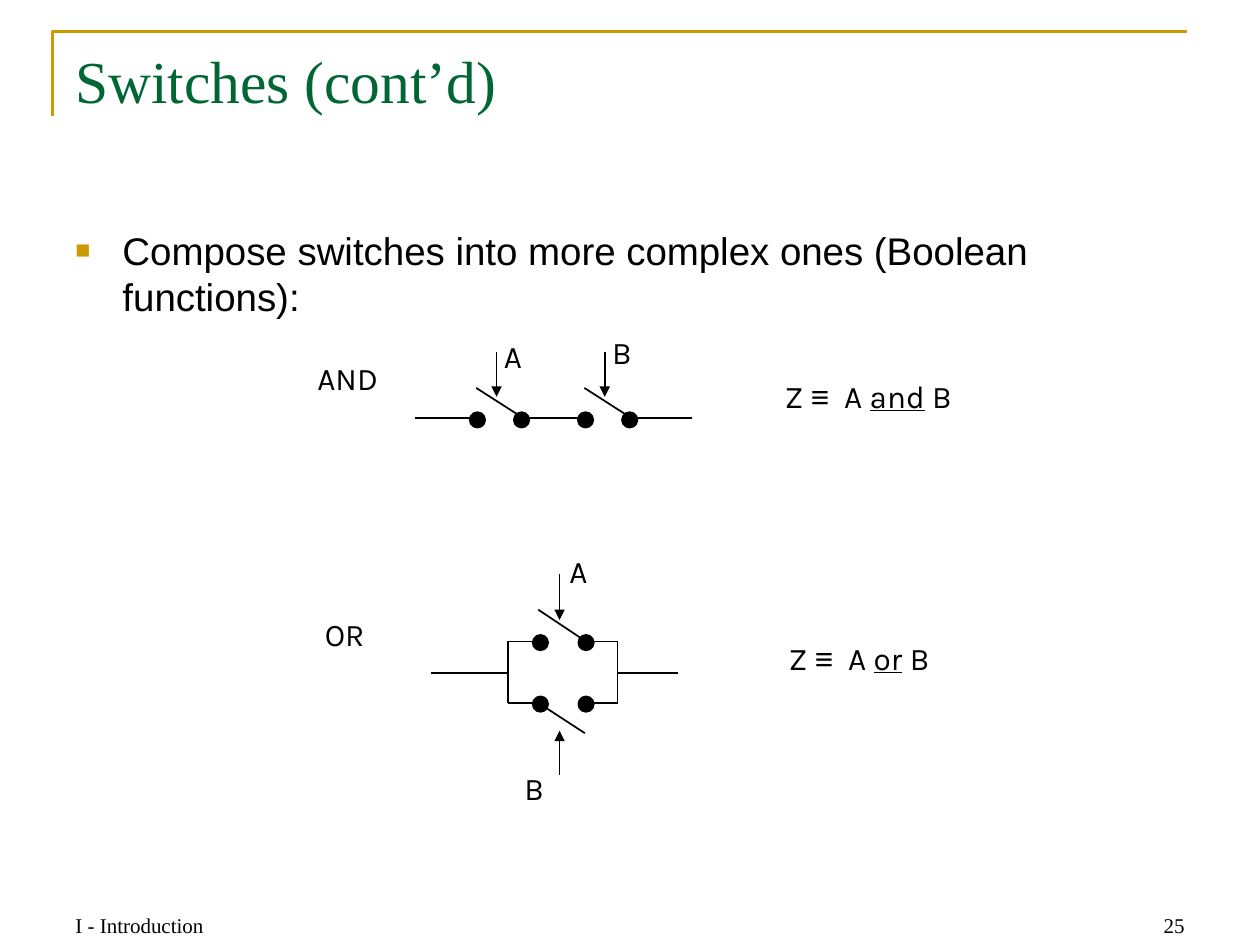
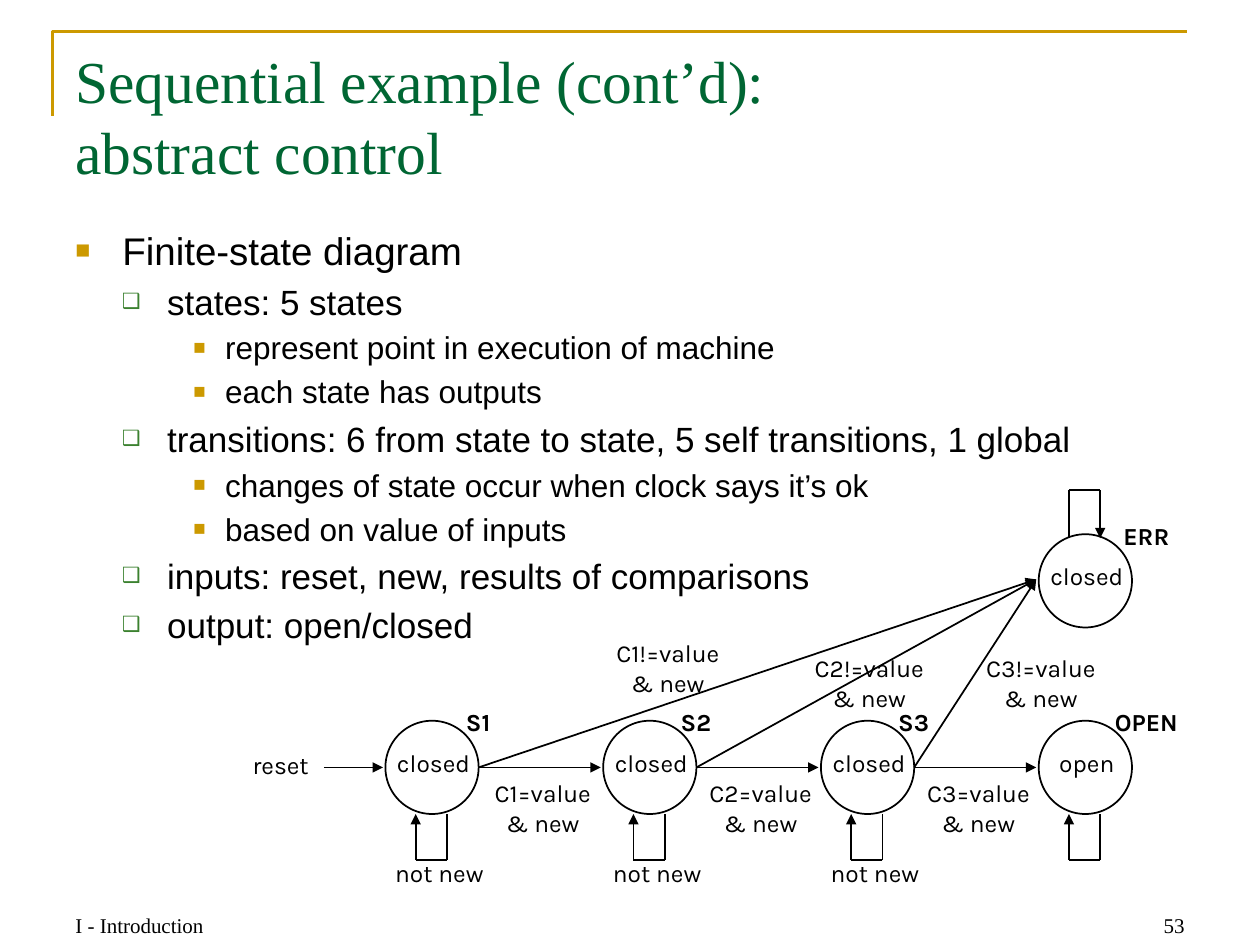
from typing import NamedTuple

from lxml import etree
from pptx import Presentation
from pptx.dml.color import RGBColor
from pptx.enum.shapes import MSO_CONNECTOR, MSO_SHAPE
from pptx.enum.text import MSO_ANCHOR, PP_ALIGN
from pptx.oxml.ns import qn
from pptx.util import Cm, Pt

BLACK = RGBColor(0x00, 0x00, 0x00)
GOLD = RGBColor(0xCC, 0x99, 0x00)
TITLE_GREEN = RGBColor(0x00, 0x66, 0x33)
BULLET_GREEN = RGBColor(0x3B, 0x81, 0x2F)

SERIF, SANS, DIAGRAM = "Times New Roman", "Arial", "Karla"

STRAIGHT = MSO_CONNECTOR.STRAIGHT
ELLIPSE = MSO_SHAPE.OVAL
LEFT, CENTER, RIGHT = PP_ALIGN.LEFT, PP_ALIGN.CENTER, PP_ALIGN.RIGHT
TOP, BOTTOM = MSO_ANCHOR.TOP, MSO_ANCHOR.BOTTOM


class Box(NamedTuple):
    """Left, top, width and height in centimetres."""
    x: float
    y: float
    w: float
    h: float

    def lengths(self):
        return [Cm(v) for v in self]


class Level(NamedTuple):
    size: int
    margin: float
    hanging: float
    bullet: str
    color: RGBColor
    bullet_pct: int


class State(NamedTuple):
    name: str
    output: str
    x: float
    y: float
    name_dx: float


LEVELS = [
    Level(22, 0.95, 0.95, "■", GOLD, 65),
    Level(20, 1.85, 0.91, "❑", BULLET_GREEN, 60),
    Level(18, 3.02, 0.64, "■", GOLD, 65),
]

TITLE_BOX = Box(1.27, 0.76, 22.86, 3.18)
BODY_BOX = Box(1.27, 4.45, 22.86, 12.57)
FOOTER_BOX = Box(1.27, 17.75, 5.92, 1.27)
NUMBER_BOX = Box(18.21, 17.75, 5.92, 1.27)

CONTACT = 0.31
STATE_SIZE = 1.88
STATE_PITCH = 4.39
STATE_Y = 14.53
ARROW_GAP = 0.05


def write(p, text: str, *, font: str, size: float, color=BLACK,
          bold=False, underline=False) -> None:
    """Add text to a paragraph; a newline becomes a line break."""
    for i, line in enumerate(text.split("\n")):
        if i:
            p.add_line_break()
        r = p.add_run()
        r.text = line
        r.font.name, r.font.size = font, Pt(size)
        r.font.color.rgb = color
        r.font.bold, r.font.underline = bold, underline


def add_frame(s, box: Box, *, anchor=TOP):
    tf = s.shapes.add_textbox(*box.lengths()).text_frame
    tf.word_wrap = True
    tf.vertical_anchor = anchor
    return tf


def add_text(s, box: Box, text: str, *, align=LEFT, anchor=TOP, **fmt) -> None:
    p = add_frame(s, box, anchor=anchor).paragraphs[0]
    p.alignment = align
    write(p, text, **fmt)


def label_paragraph(s, box: Box, *, align, spacing: float):
    """Return the paragraph of a new diagram label with tight margins."""
    tf = add_frame(s, box)
    tf.margin_left = tf.margin_right = Cm(0.05)
    tf.margin_top = tf.margin_bottom = Cm(0.08)
    p = tf.paragraphs[0]
    p.alignment = align
    p.line_spacing = Pt(spacing)
    return p


def gate_label(s, x: float, y: float, text: str) -> None:
    p = label_paragraph(s, Box(x, y, 2.1, 1.24), align=LEFT, spacing=26)
    write(p, text, font=DIAGRAM, size=18)


def gate_formula(s, x: float, y: float, operator: str) -> None:
    p = label_paragraph(s, Box(x, y, 4.4, 1.63), align=LEFT, spacing=26)
    write(p, "Z ", font=DIAGRAM, size=18)
    write(p, "≡", font=SANS, size=18)
    write(p, "  A ", font=DIAGRAM, size=18)
    write(p, operator, font=DIAGRAM, size=18, underline=True)
    write(p, " B", font=DIAGRAM, size=18)


def state_label(s, box: Box, text: str, *, spacing=17, bold=False) -> None:
    p = label_paragraph(s, box, align=CENTER, spacing=spacing)
    write(p, text, font=DIAGRAM, size=14, bold=bold)


def add_line(s, x1: float, y1: float, x2: float, y2: float, *, arrow=False) -> None:
    c = s.shapes.add_connector(STRAIGHT, Cm(x1), Cm(y1), Cm(x2), Cm(y2))
    c.line.color.rgb = BLACK
    c.line.width = Pt(1)
    props = c._element.spPr
    if arrow:
        etree.SubElement(props.find(qn("a:ln")), qn("a:tailEnd"), type="triangle")
    etree.SubElement(props, qn("a:effectLst"))


def add_circle(s, x: float, y: float, size: float, *, filled: bool) -> None:
    sp = s.shapes.add_shape(ELLIPSE, *Box(x, y, size, size).lengths())
    sp.shadow.inherit = False
    if filled:
        sp.fill.solid()
        sp.fill.fore_color.rgb = BLACK
    else:
        sp.fill.background()
    sp.line.color.rgb = BLACK
    sp.line.width = Pt(1)


def add_corner_rule(s) -> None:
    builder = s.shapes.build_freeform(Cm(1.06), Cm(2.33))
    builder.add_line_segments([(Cm(1.06), Cm(0.63)), (Cm(23.92), Cm(0.63))], close=False)
    sp = builder.convert_to_shape()
    sp.shadow.inherit = False
    sp.fill.background()
    sp.line.color.rgb = GOLD
    sp.line.width = Pt(1.5)


def add_bullet(p, level: Level) -> None:
    props = p._p.get_or_add_pPr()
    props.set("marL", str(Cm(level.margin)))
    props.set("indent", str(-Cm(level.hanging)))
    color = etree.SubElement(props, qn("a:buClr"))
    etree.SubElement(color, qn("a:srgbClr"), val=str(level.color))
    etree.SubElement(props, qn("a:buSzPct"), val=str(level.bullet_pct * 1000))
    etree.SubElement(props, qn("a:buFont"), typeface=SANS)
    etree.SubElement(props, qn("a:buChar"), char=level.bullet)


def add_body(s, items: list[tuple[int, str]]) -> None:
    tf = add_frame(s, BODY_BOX)
    for i, (depth, text) in enumerate(items):
        level = LEVELS[depth]
        p = tf.add_paragraph() if i else tf.paragraphs[0]
        p.level = depth
        add_bullet(p, level)
        if i:
            p.space_before = Pt(level.size * 0.2)
        write(p, text, font=SANS, size=level.size)


def new_slide(prs, title: str, number: int, items: list[tuple[int, str]]):
    s = prs.slides.add_slide(prs.slide_layouts[6])
    add_corner_rule(s)
    add_text(s, FOOTER_BOX, "I - Introduction", font=SERIF, size=12, anchor=BOTTOM)
    add_text(s, NUMBER_BOX, str(number), font=SERIF, size=12, anchor=BOTTOM, align=RIGHT)
    add_text(s, TITLE_BOX, title, font=SERIF, size=34, color=TITLE_GREEN)
    add_body(s, items)
    return s


def draw_and_gate(s) -> None:
    """Two switches in series."""
    pitch = 2.18
    for i in range(3):
        x = 8.36 + i * pitch
        add_line(s, x, 8.43, x + 1.22, 8.43)
    for i, name in enumerate("AB"):
        x = 9.47 + i * pitch
        add_line(s, x + 0.13, 7.82, x + 1.05, 8.41)
        add_line(s, x + 0.54, 7.09, x + 0.54, 8, arrow=True)
        for dx in (0, 0.89):
            add_circle(s, x + dx, 8.31, CONTACT, filled=True)
        gate_label(s, x + 0.64, 6.55 - i * 0.07, name)
    gate_label(s, 6.35, 7.01, "AND")
    gate_formula(s, 15.77, 7.37, "and")


def draw_or_gate(s) -> None:
    """Two switches in parallel between a left and a right rail."""
    left, right, upper, middle, lower = 10.24, 12.45, 12.93, 13.56, 14.17
    add_line(s, 8.69, middle, left, middle)
    add_line(s, right, middle, 13.67, middle)
    for x in (left, right):
        add_line(s, x, upper, x, lower)
    for y in (upper, lower):
        add_line(s, left, y, 10.87, y)
        add_line(s, 11.82, y, right, y)
        for x in (10.74, 11.66):
            add_circle(s, x, y - 0.13, CONTACT, filled=True)
    add_line(s, 11.84, 12.95, 10.85, 12.29)
    add_line(s, 10.9, 14.2, 11.79, 14.78)
    add_line(s, 11.28, 11.58, 11.28, 12.5, arrow=True)
    add_line(s, 11.28, 15.62, 11.28, 14.73, arrow=True)
    gate_label(s, 11.43, 10.9, "A")
    gate_label(s, 10.52, 15.27, "B")
    gate_label(s, 6.5, 12.17, "OR")
    gate_formula(s, 15.85, 12.65, "or")


def draw_state(s, state: State) -> None:
    x, y = state.x, state.y
    add_circle(s, x, y, STATE_SIZE, filled=False)
    state_label(s, Box(x + 0.03, y + 0.53, STATE_SIZE, 0.86), state.output, spacing=15)
    state_label(s, Box(x + state.name_dx, y - 0.36, 1.8, 0.94), state.name, bold=True)


def draw_self_loop(s, tail_x: float, head_x: float, edge_y: float, far_y: float) -> None:
    """Leave a state at tail_x, turn at far_y and return at head_x."""
    add_line(s, tail_x, edge_y, tail_x, far_y)
    add_line(s, tail_x, far_y, head_x, far_y)
    add_line(s, head_x, far_y, head_x, edge_y, arrow=True)


def draw_state_diagram(s) -> None:
    row = [
        State(name, output, 7.77 + i * STATE_PITCH, STATE_Y, name_dx)
        for i, (name, output, name_dx) in enumerate([
            ("S1", "closed", 0.97), ("S2", "closed", 0.97),
            ("S3", "closed", 0.97), ("OPEN", "open", 1.27)])
    ]
    error = State("ERR", "closed", row[-1].x, 10.77, 1.27)
    mid_y = STATE_Y + STATE_SIZE / 2

    for state in [*row, error]:
        draw_state(s, state)
    for state in row:
        draw_self_loop(s, state.x + 1.24, state.x + 0.61,
                       STATE_Y + STATE_SIZE, STATE_Y + 2.81)
    draw_self_loop(s, error.x + 0.61, error.x + 1.24, error.y + 0.08, error.y - 0.89)

    add_line(s, 6.53, mid_y, row[0].x - ARROW_GAP, mid_y, arrow=True)
    state_label(s, Box(4.67, 15.04, 1.98, 0.94), "reset")

    mismatch_places = [(11.38, 12.78), (15.44, 13.08), (18.9, 13.08)]
    for i, (state, (x, y)) in enumerate(zip(row, mismatch_places), start=1):
        start = state.x + STATE_SIZE
        add_line(s, start, mid_y, row[i].x - ARROW_GAP, mid_y, arrow=True)
        add_line(s, start, mid_y, error.x - ARROW_GAP, error.y + 0.91, arrow=True)
        state_label(s, Box(state.x + 1.09, 15.6, 4.17, 1.52), f"C{i}=value\n& new")
        state_label(s, Box(x, y, 4.17, 1.52), f"C{i}!=value\n& new")
        state_label(s, Box(state.x - 0.03, 17.22, 2.24, 0.94), "not new")


def main() -> None:
    prs = Presentation()
    prs.slide_width, prs.slide_height = Cm(25.4), Cm(19.05)

    s = new_slide(prs, "Switches (cont’d)", 25, [
        (0, "Compose switches into more complex ones (Boolean functions):"),
    ])
    draw_and_gate(s)
    draw_or_gate(s)

    s = new_slide(prs, "Sequential example (cont’d):\nabstract control", 53, [
        (0, "Finite-state diagram"),
        (1, "states: 5 states"),
        (2, "represent point in execution of machine"),
        (2, "each state has outputs"),
        (1, "transitions: 6 from state to state, 5 self transitions, 1 global"),
        (2, "changes of state occur when clock says it’s ok"),
        (2, "based on value of inputs"),
        (1, "inputs: reset, new, results of comparisons"),
        (1, "output: open/closed"),
    ])
    draw_state_diagram(s)

    prs.save("out.pptx")


if __name__ == "__main__":
    main()
